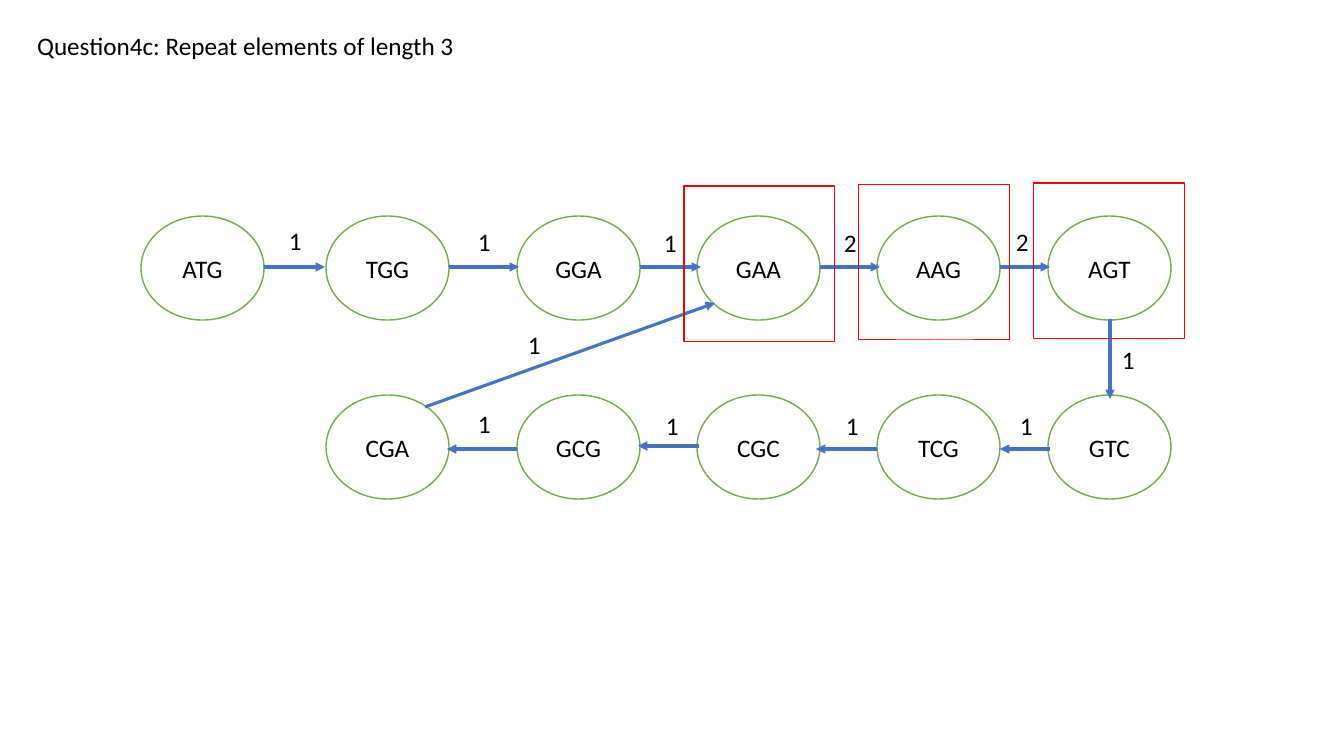
from pptx import Presentation
from pptx.dml.color import RGBColor
from pptx.enum.shapes import MSO_CONNECTOR as Connector, MSO_SHAPE as Shape
from pptx.enum.text import MSO_ANCHOR as Anchor, MSO_AUTO_SIZE as AutoSize, PP_ALIGN as Align
from pptx.oxml.ns import qn
from pptx.util import Pt
from lxml.etree import SubElement

BLACK = RGBColor(0x00, 0x00, 0x00)
WHITE = RGBColor(0xFF, 0xFF, 0xFF)
GREEN = RGBColor(0x70, 0xAD, 0x47)
BLUE = RGBColor(0x44, 0x72, 0xC4)
RED = RGBColor(0xFF, 0x00, 0x00)

EMU_PER_PIXEL = 914400 / 100.8


def emu(*pixels):
    return [round(pixel * EMU_PER_PIXEL) for pixel in pixels]


def write(box, text, align, anchor):
    frame = box.text_frame
    frame.text = text
    frame.vertical_anchor = anchor
    para = frame.paragraphs[0]
    para.alignment = align
    para.line_spacing = 1.0
    font = para.runs[0].font
    font.name = "Calibri"
    font.size = Pt(18)
    font.color.rgb = BLACK


deck = Presentation()
deck.slide_width, deck.slide_height = emu(1344, 756)
page = deck.slides.add_slide(deck.slide_layouts[5])

title = page.shapes.title
title.left, title.top, title.width, title.height = emu(27, 25, 441, 40)
write(title, "Question4c: Repeat elements of length 3", Align.LEFT, Anchor.TOP)
title.text_frame.word_wrap = True
title.text_frame.auto_size = AutoSize.NONE

columns = [141, 326, 517, 697, 877, 1048]
rows = [
    (216, columns, ["ATG", "TGG", "GGA", "GAA", "AAG", "AGT"]),
    (395, columns[1:], ["CGA", "GCG", "CGC", "TCG", "GTC"]),
]
for top, lefts, codons in rows:
    for left, codon in zip(lefts, codons):
        node = page.shapes.add_shape(Shape.OVAL, *emu(left, top, 123, 104))
        node.shadow.inherit = False
        node.fill.solid()
        node.fill.fore_color.rgb = WHITE
        node.line.color.rgb = GREEN
        node.line.width = Pt(1)
        write(node, codon, Align.CENTER, Anchor.MIDDLE)

edges = [
    ((264, 267, 325, 267), "1", (279, 220)),
    ((449, 267, 519, 267), "1", (468, 221)),
    ((640, 267, 701, 267), "1", (654, 222)),
    ((820, 267, 880, 267), "2", (834, 222)),
    ((1000, 267, 1050, 267), "2", (1006, 221)),
    ((1110, 319, 1110, 399), "1", (1112, 339)),
    ((1050, 449, 1000, 449), "1", (1010, 405)),
    ((877, 449, 816, 449), "1", (836, 405)),
    ((699, 446, 638, 446), "1", (656, 405)),
    ((517, 449, 447, 449), "1", (468, 403)),
    ((425, 407, 715, 303), "1", (518, 324)),
]
for ends, weight, corner in edges:
    arrow = page.shapes.add_connector(Connector.STRAIGHT, *emu(*ends))
    arrow.line.color.rgb = BLUE
    arrow.line.width = Pt(2.25)
    SubElement(arrow.line._get_or_add_ln(), qn("a:tailEnd"), type="triangle")
    SubElement(arrow._element.spPr, qn("a:effectLst"))

    label = page.shapes.add_textbox(*emu(*corner, 28, 40))
    write(label, weight, Align.LEFT, Anchor.TOP)
    label.text_frame.word_wrap = True
    label.text_frame.auto_size = AutoSize.SHAPE_TO_FIT_TEXT

for left, top in [(684, 186), (859, 184), (1034, 183)]:
    repeat_frame = page.shapes.add_shape(Shape.RECTANGLE, *emu(left, top, 151, 156))
    repeat_frame.shadow.inherit = False
    repeat_frame.fill.background()
    repeat_frame.line.color.rgb = RED
    repeat_frame.line.width = Pt(0.75)

deck.save("out.pptx")
